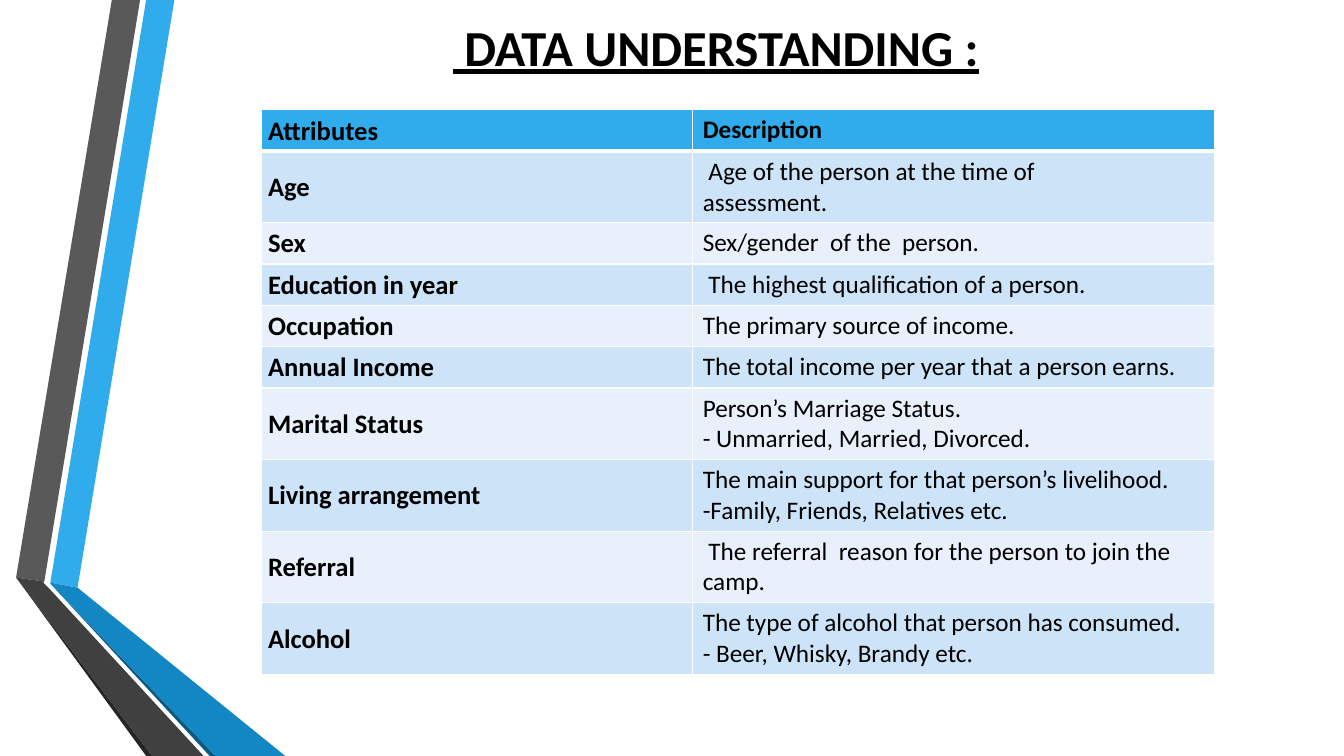
from lxml import etree
from pptx import Presentation
from pptx.dml.color import RGBColor
from pptx.enum.text import MSO_ANCHOR, PP_ALIGN
from pptx.oxml.ns import qn
from pptx.util import Inches, Pt

MIDDLE = MSO_ANCHOR.MIDDLE
CENTER = PP_ALIGN.CENTER
FONT = "Calibri"
BLACK, WHITE, BLUE = "000000", "FFFFFF", "30ACEC"
BANDS = ["CDE3F8", "E8F1FB"]
COLUMN_WIDTHS = [4.28, 5.18]
LINE_HEIGHT, CELL_PADDING = 0.3, 0.11

RIBBONS = [
    (BLUE, [(0.5, 5.78), (0.77, 5.83), (1.73, 0), (1.45, 0)]),
    ("595959", [(1.39, 0), (1.11, 0), (0.16, 5.73), (0.44, 5.77)]),
    ("262626", [(0.16, 5.73), (1.45, 7.5), (1.51, 7.5)]),
    ("0C5A82", [(0.5, 5.79), (2.08, 7.5), (2.14, 7.5)]),
    ("1287C3", [(0.5, 5.79), (2.14, 7.5), (2.83, 7.5), (0.77, 5.83), (0.5, 5.78)]),
    ("404040", [(2.02, 7.5), (0.48, 5.83), (0.43, 5.78), (0.44, 5.77),
                (0.16, 5.73), (1.51, 7.5)]),
]

ATTRIBUTES = [
    ("Attributes", "Description", 1),
    ("Age", " Age of the person at the time of\vassessment.", 2),
    ("Sex", "Sex/gender  of the  person.", 1),
    ("Education in year", " The highest qualification of a person.", 1),
    ("Occupation", "The primary source of income.", 1),
    ("Annual Income", "The total income per year that a person earns.", 1),
    ("Marital Status", "Person’s Marriage Status.\n- Unmarried, Married, Divorced.", 2),
    ("Living arrangement",
     "The main support for that person’s livelihood.\n-Family, Friends, Relatives etc.", 2),
    ("Referral", " The referral  reason for the person to join the camp.", 2),
    ("Alcohol", "The type of alcohol that person has consumed.\n- Beer, Whisky, Brandy etc.", 2),
]


def color(value):
    """Return the colour for a hex string."""
    return RGBColor.from_string(value)


def write_text(frame, text, **formats):
    """Fill a text frame and format every paragraph."""
    frame.text = text
    for paragraph in frame.paragraphs:
        for run in paragraph.runs:
            run.font.color.rgb = color(BLACK)
            for name, value in {"name": FONT, **formats}.items():
                setattr(run.font, name, value)


def add_ribbons(slide, left, top):
    """Draw the folded ribbons from the given corner."""
    for fill, outline in RIBBONS:
        points = [(Inches(left + x), Inches(top + y)) for x, y in outline]
        builder = slide.shapes.build_freeform(*points[0], scale=1.0)
        builder.add_line_segments(points[1:], close=True)
        shape = builder.convert_to_shape()
        shape.shadow.inherit = False
        shape.fill.solid()
        shape.fill.fore_color.rgb = color(fill)
        shape.line.fill.background()


def add_title(slide, left, top, width, height):
    """Add the underlined heading centred in its box."""
    box = slide.shapes.add_textbox(*map(Inches, (left, top, width, height)))
    frame = box.text_frame
    frame.word_wrap = True
    frame.vertical_anchor = MIDDLE
    write_text(frame, " DATA UNDERSTANDING :", size=Pt(36), bold=True, underline=True)
    frame.paragraphs[0].alignment = CENTER


def add_borders(cell, row):
    """Draw white borders, thick between the header and the body."""
    properties = cell._tc.get_or_add_tcPr()
    widths = {"lnL": 1, "lnR": 1, "lnT": 3 if row == 1 else 1, "lnB": 3 if row == 0 else 1}
    for side, width in widths.items():
        line = etree.SubElement(properties, qn(f"a:{side}"), w=str(Pt(width)))
        fill = etree.SubElement(line, qn("a:solidFill"))
        etree.SubElement(fill, qn("a:srgbClr"), val=WHITE)


def style_cell(cell, row, fill):
    """Give a cell its borders and fill."""
    add_borders(cell, row)
    cell.fill.solid()
    cell.fill.fore_color.rgb = color(fill)


def add_attribute_table(slide, left, top):
    """Add the attribute table, with row heights set by line count."""
    heights = [lines * LINE_HEIGHT + CELL_PADDING for _, _, lines in ATTRIBUTES]
    frame = slide.shapes.add_table(
        len(ATTRIBUTES), len(COLUMN_WIDTHS), Inches(left), Inches(top),
        Inches(sum(COLUMN_WIDTHS)), Inches(sum(heights)))
    table = frame.table
    for column, width in zip(table.columns, COLUMN_WIDTHS):
        column.width = Inches(width)
    for index, (attribute, description, _) in enumerate(ATTRIBUTES):
        table.rows[index].height = Inches(heights[index])
        fill = BANDS[(index - 1) % 2] if index else BLUE
        name_cell, description_cell = table.cell(index, 0), table.cell(index, 1)
        for cell in (name_cell, description_cell):
            style_cell(cell, index, fill)
        margins = {"margin_left": 0.01, "margin_right": 0.01,
                   "margin_top": 0.01, "margin_bottom": 0}
        for margin, value in margins.items():
            setattr(name_cell, margin, Inches(value))
        name_cell.vertical_anchor = MIDDLE
        write_text(name_cell.text_frame, f" {attribute}", size=Pt(19), bold=True)
        write_text(description_cell.text_frame, description, size=Pt(18), bold=index == 0)


def main():
    """Build and save the slide."""
    presentation = Presentation()
    presentation.slide_width = Inches(13.33)
    presentation.slide_height = Inches(7.5)
    slide = presentation.slides.add_slide(presentation.slide_layouts[6])
    add_ribbons(slide, 0, 0)
    add_title(slide, 1.62, 0.1, 10.96, 0.72)
    add_attribute_table(slide, 2.59, 1.09)
    presentation.save("out.pptx")


if __name__ == "__main__":
    main()
